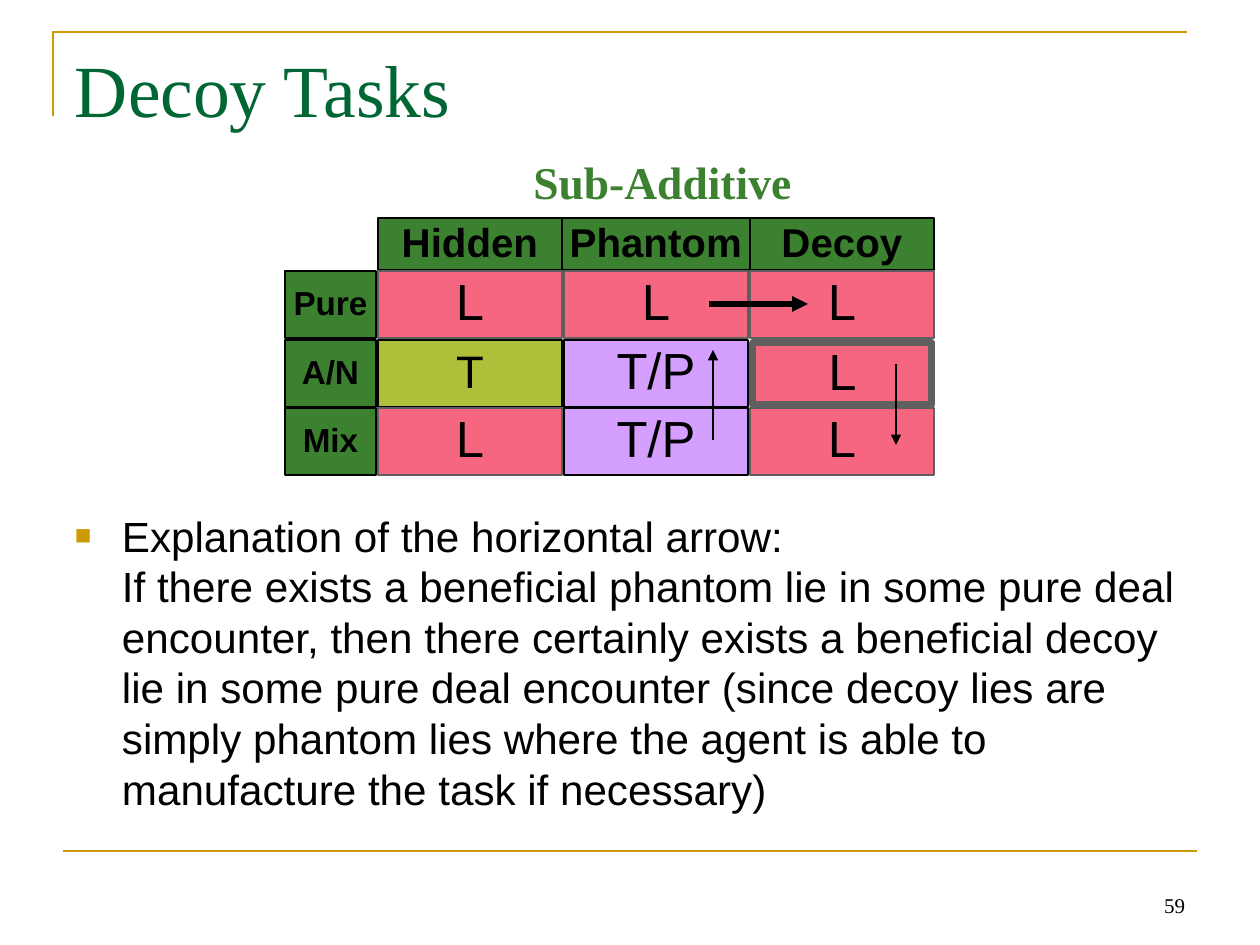
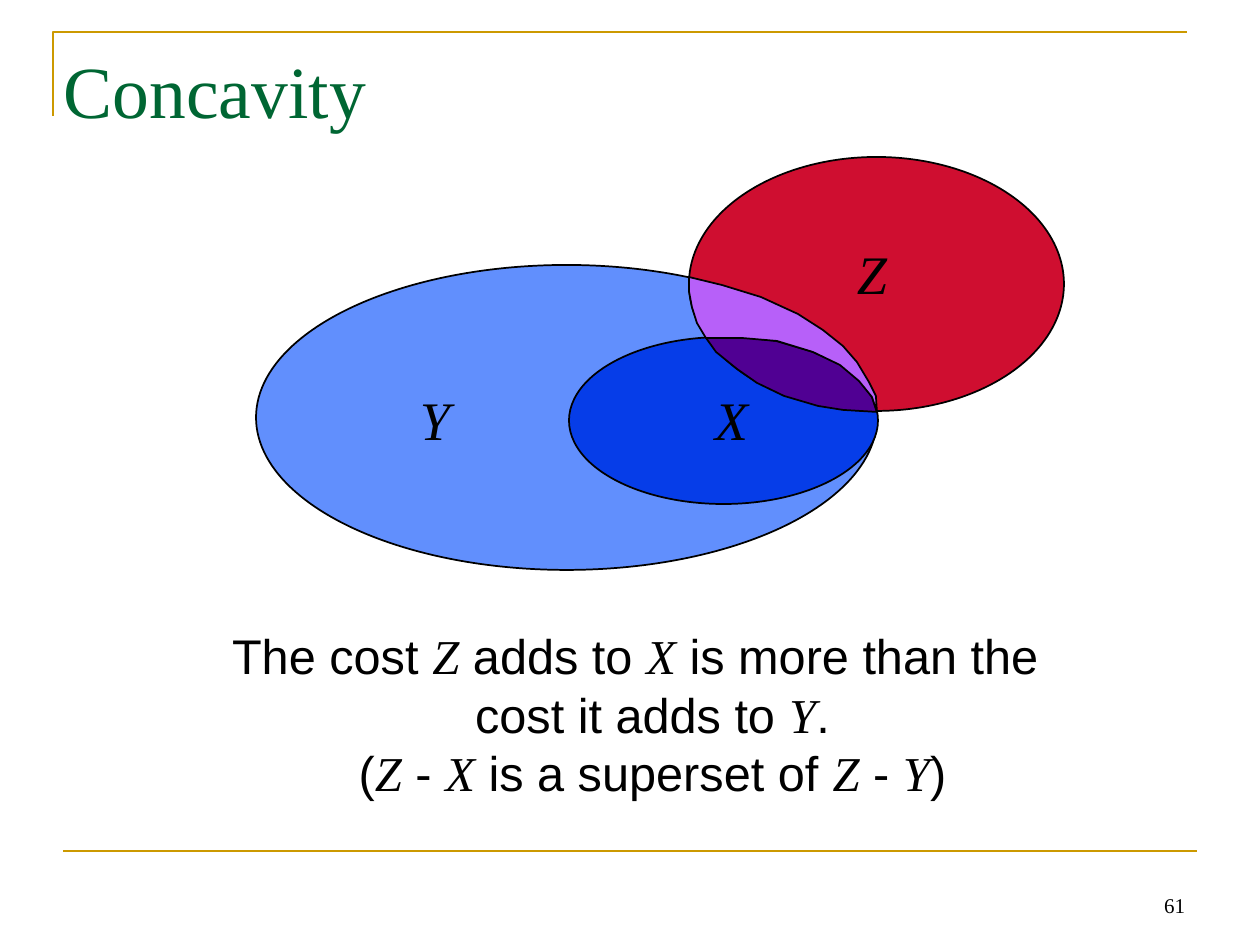
import pptx
import pptx.util
import pptx.dml.color
import pptx.enum.shapes
import pptx.enum.text
import pptx.oxml.ns
import lxml.etree

# Shared scale, fonts and colours
PX = 914400 / 126
SANS, SERIF = "Arial", "Times New Roman"
BLACK, GOLD, TITLE_GREEN = "000000", "CC9900", "006633"
GREEN, PINK, OLIVE, LILAC, GREY = "3B812F", "F76681", "AFBF39", "D49FFF", "5F5F5F"
LIGHT_BLUE, BLUE, RED = "618FFD", "063DE8", "CF0E30"
VIOLET, PURPLE = "B760F9", "500093"

SHAPE = pptx.enum.shapes.MSO_SHAPE
ALIGN = pptx.enum.text.PP_ALIGN
ANCHOR = pptx.enum.text.MSO_ANCHOR


def px(n):
    return pptx.util.Emu(round(n * PX))


def color(hex_text):
    return pptx.dml.color.RGBColor.from_string(hex_text)


def add_xml(parent, tag, **attrs):
    return lxml.etree.SubElement(parent, pptx.oxml.ns.qn(tag), **attrs)


def set_font(font, size, name=SANS, ink=BLACK, bold=False, italic=False):
    font.size = pptx.util.Pt(size)
    font.name = name
    font.bold, font.italic = bold, italic
    font.color.rgb = color(ink)


def paint(sp, fill, line, width=1):
    sp.shadow.inherit = False
    if fill:
        sp.fill.solid()
        sp.fill.fore_color.rgb = color(fill)
    else:
        sp.fill.background()
    sp.line.color.rgb = color(line)
    sp.line.width = pptx.util.Pt(width)


def set_frame(tf, anchor, inset_x, inset_y, wrap=True):
    tf.word_wrap = wrap
    tf.vertical_anchor = anchor
    tf.margin_left = tf.margin_right = px(inset_x)
    tf.margin_top = tf.margin_bottom = px(inset_y)


def add_text(s, box, text, size, align=ALIGN.LEFT, anchor=ANCHOR.TOP,
             inset=(12, 6), wrap=True, spacing=None, **font):
    sp = s.shapes.add_textbox(*map(px, box))
    set_frame(sp.text_frame, anchor, *inset, wrap)
    p = sp.text_frame.paragraphs[0]
    p.text = text
    p.alignment = align
    p.line_spacing = spacing
    set_font(p.font, size, **font)
    return p


def indent(p, hang, space_before):
    p.space_before = pptx.util.Pt(space_before)
    pPr = p._p.get_or_add_pPr()
    pPr.set("marL", str(px(hang)))
    pPr.set("indent", str(-px(hang)))
    return pPr


def add_bulleted(s, box, text, size):
    sp = s.shapes.add_textbox(*map(px, box))
    set_frame(sp.text_frame, ANCHOR.TOP, 12, 6)
    p = sp.text_frame.paragraphs[0]
    p.text = text
    pPr = indent(p, 47, 6.5)
    add_xml(add_xml(pPr, "a:buClr"), "a:srgbClr", val=GOLD)
    add_xml(pPr, "a:buSzPct", val="65000")
    add_xml(pPr, "a:buFont", typeface=SANS)
    add_xml(pPr, "a:buChar", char="■")
    set_font(p.font, size)


def add_formula_text(s, box, lines, size):
    """Centred text; the parts between asterisks are italic set names."""
    p = add_text(s, box, "", size, align=ALIGN.CENTER, inset=(11, 5))
    indent(p, 34, 7.5)
    for i, line in enumerate(lines):
        if i:
            p.add_line_break()
        for j, part in enumerate(line.split("*")):
            if part:
                r = p.add_run()
                r.text = part
                if j % 2:
                    r.font.name, r.font.italic = SERIF, True


def add_line(s, start, end, ink=BLACK, width=1, arrow=False):
    line = s.shapes.add_connector(pptx.enum.shapes.MSO_CONNECTOR.STRAIGHT,
                                  *map(px, start + end))
    line.line.color.rgb = color(ink)
    line.line.width = pptx.util.Pt(width)
    if arrow:
        add_xml(line.line._get_or_add_ln(), "a:tailEnd", type="triangle")
    add_xml(line._element.spPr, "a:effectLst")


def add_outline(s, points, fill, line=BLACK, width=1, close=True):
    builder = s.shapes.build_freeform(*points[0], scale=PX)
    builder.add_line_segments(points[1:], close=close)
    paint(builder.convert_to_shape(), fill, line, width)


def add_cell(s, box, text, size, fill, line=BLACK, width=1, bold=False):
    sp = s.shapes.add_shape(SHAPE.RECTANGLE, *map(px, box))
    paint(sp, fill, line, width)
    set_frame(sp.text_frame, ANCHOR.MIDDLE, 6, 4)
    p = sp.text_frame.paragraphs[0]
    p.text = text
    p.alignment = ALIGN.CENTER
    p.line_spacing = 0.9
    set_font(p.font, size, bold=bold)


def add_ellipse(s, box, fill):
    paint(s.shapes.add_shape(SHAPE.OVAL, *map(px, box)), fill, BLACK)


def add_slide(prs, title, title_box, title_anchor, inset, number):
    s = prs.slides.add_slide(prs.slide_layouts[6])
    add_outline(s, [(53, 116), (53, 32), (1187, 32)], None, GOLD, 1.5, close=False)
    add_line(s, (63, 851), (1197, 851), GOLD, 1.5)
    add_text(s, title_box, title, 42, anchor=title_anchor, inset=inset,
             name=SERIF, ink=TITLE_GREEN)
    add_text(s, (903, 861, 294, 63), str(number), 12, align=ALIGN.RIGHT,
             anchor=ANCHOR.BOTTOM, name=SERIF)
    return s


def add_lie_grid(s):
    col_x, col_w = [378, 564, 750], 184
    row_y, row_h = [271, 340, 408], 67
    # Header row and row labels
    for head, x, w in zip(["Hidden", "Phantom", "Decoy"], [378, 562, 750], [184, 188, 184]):
        add_cell(s, (x, 218, w, 52), head, 23, GREEN, bold=True)
    for label, y in zip(["Pure", "A/N", "Mix"], row_y):
        add_cell(s, (285, y, 91, row_h), label, 19, GREEN, bold=True)
    # Kinds of lie: fill, line, text size
    styles = {"L": (PINK, GREY, 29), "T": (OLIVE, BLACK, 26), "T/P": (LILAC, BLACK, 29)}
    grid = [["L", "L", "L"], ["T", "T/P", "L"], ["L", "T/P", "L"]]
    for i, (y, kinds) in enumerate(zip(row_y, grid)):
        for j, (x, kind) in enumerate(zip(col_x, kinds)):
            fill, line, size = styles[kind]
            if (i, j) == (1, 2):  # emphasised cell
                add_cell(s, (x + 3, y + 3, col_w - 5, row_h - 5), kind, size, fill, line, 4)
            else:
                add_cell(s, (x, y, col_w, row_h), kind, size, fill, line)


def decoy_slide(prs):
    s = add_slide(prs, "Decoy Tasks", (63, 38, 1134, 158), ANCHOR.TOP, (12, 6), 59)
    add_bulleted(s, (63, 504, 1134, 340),
                 "Explanation of the horizontal arrow:\vIf there exists a beneficial "
                 "phantom lie in some pure deal encounter, then there certainly exists "
                 "a beneficial decoy lie in some pure deal encounter (since decoy lies "
                 "are simply phantom lies where the agent is able to manufacture the "
                 "task if necessary)", 24.1)
    add_text(s, (525, 158, 275, 53), "Sub-Additive", 26, align=ALIGN.CENTER,
             inset=(8, 4), wrap=False, spacing=0.85, name=SERIF, ink=GREEN, bold=True)
    add_lie_grid(s)
    # Implication arrows
    add_line(s, (713, 440), (713, 350), arrow=True)
    add_line(s, (896, 364), (896, 445), arrow=True)
    add_line(s, (709, 304), (808, 304), width=3, arrow=True)


def concavity_slide(prs):
    s = add_slide(prs, "Concavity", (53, 32, 436, 115), ANCHOR.MIDDLE, (11, 5), 61)
    # Sets Y, X and Z
    add_ellipse(s, (256, 265, 621, 305), LIGHT_BLUE)
    add_ellipse(s, (569, 337, 309, 167), BLUE)
    add_ellipse(s, (689, 157, 375, 254), RED)
    # Overlaps of Z with X, and of Z with the rest of Y
    z_and_x = [(706, 338), (740, 337), (776, 341), (813, 352), (839, 364), (858, 379),
               (872, 397), (877, 412), (843, 410), (818, 406), (784, 396), (757, 383),
               (737, 369), (716, 352)]
    z_and_y = [(689, 277), (722, 285), (761, 297), (798, 314), (823, 330), (843, 346),
               (857, 362), (869, 382), (876, 396), (877, 412), (872, 397), (859, 381),
               (840, 365), (813, 352), (777, 341), (742, 338), (706, 338), (697, 323),
               (692, 307), (689, 291)]
    add_outline(s, z_and_x, PURPLE)
    add_outline(s, z_and_y, VIOLET)
    for name, x, y, w in [("X", 706, 392, 51), ("Y", 411, 392, 48), ("Z", 848, 246, 48)]:
        add_text(s, (x, y, w, 63), name, 31, align=ALIGN.CENTER, inset=(9, 4),
                 wrap=False, spacing=0.86, name=SERIF, italic=True)
    add_formula_text(s, (194, 621, 883, 192),
                     ["The cost *Z* adds to *X* is more than the cost it adds to *Y*.",
                      "(*Z* - *X* is a superset of *Z* - *Y*)"], 27.8)


def main():
    prs = pptx.Presentation()
    prs.slide_width, prs.slide_height = px(1260), px(945)
    decoy_slide(prs)
    concavity_slide(prs)
    prs.save("out.pptx")


if __name__ == "__main__":
    main()
